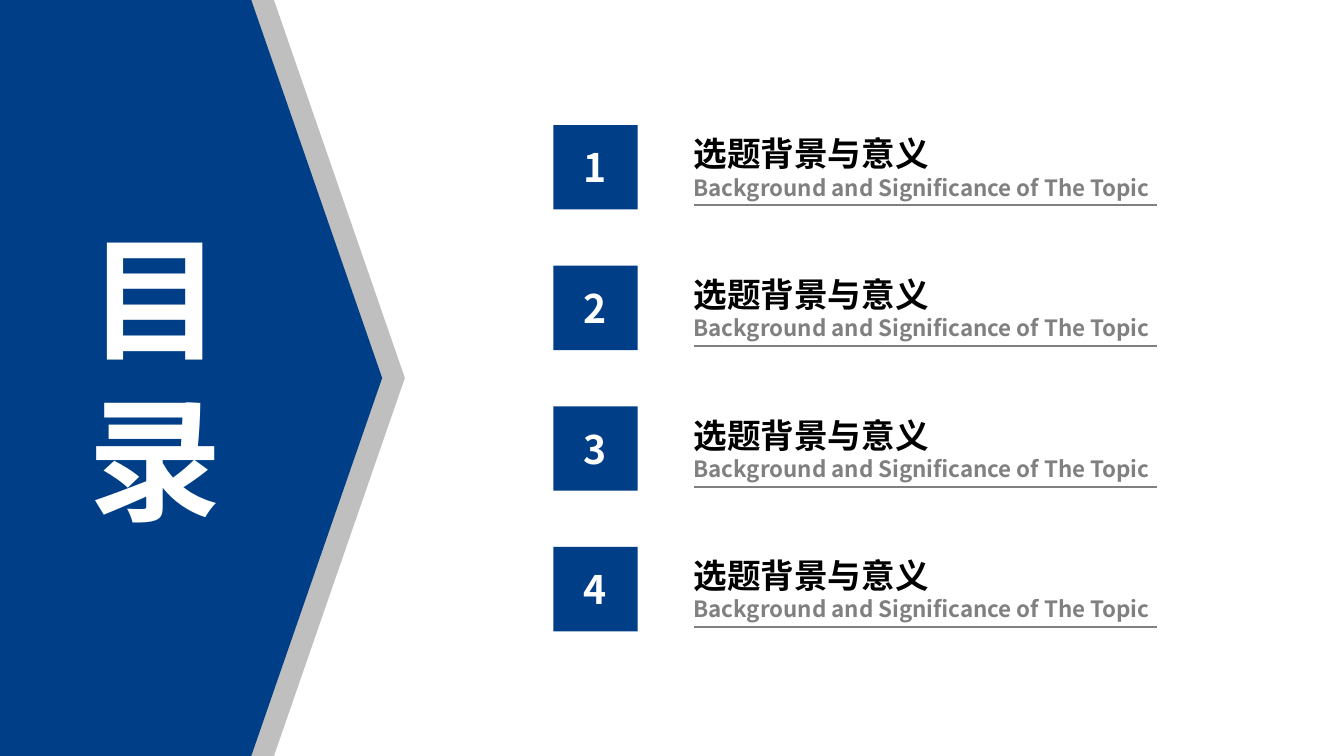
import pptx
import pptx.dml.color
import pptx.enum.shapes
import pptx.enum.text
import pptx.oxml
import pptx.oxml.ns
import pptx.util

Pt = pptx.util.Pt
ALIGN = pptx.enum.text.PP_ALIGN
COLORS = {
    "blue": "003F88",
    "silver": "BFBFBF",
    "gray": "808080",
    "black": "000000",
    "white": "FFFFFF",
}
FONT = "Noto Sans CJK SC"
WIDTH, HEIGHT = 960, 540
ENTRIES = [("选题背景与意义", "Background and Significance of The Topic")] * 4
FIRST_TOP, ROW_PITCH = 89.3, 100.45


class AgendaSlide:
    def __init__(self, prs):
        self.slide = prs.slides.add_slide(prs.slide_layouts[6])
        self.shapes = self.slide.shapes

    def color(self, name):
        return pptx.dml.color.RGBColor.from_string(COLORS[name])

    def paint(self, sp, fill):
        sp.shadow.inherit = False
        sp.fill.solid()
        sp.fill.fore_color.rgb = self.color(fill)
        sp.line.fill.background()

    def set_lines(self, tf, lines, align):
        for i, (text, size, color) in enumerate(lines):
            p = tf.paragraphs[0] if i == 0 else tf.add_paragraph()
            p.text = text
            p.alignment = align
            p.font.size = Pt(size)
            p.font.bold = True
            p.font.color.rgb = self.color(color)
            p.font.name = FONT
            latin = p._p.pPr.find(".//" + pptx.oxml.ns.qn("a:latin"))
            ea = pptx.oxml.parse_xml(
                f'<a:ea {pptx.oxml.ns.nsdecls("a")} typeface="{FONT}"/>'
            )
            latin.addnext(ea)

    def rect(self, x, y, w, h, fill):
        kind = pptx.enum.shapes.MSO_SHAPE.RECTANGLE
        sp = self.shapes.add_shape(kind, Pt(x), Pt(y), Pt(w), Pt(h))
        self.paint(sp, fill)
        return sp

    def arrow_panel(self, x, fill):
        shoulder, tip = x + 35.3, x + 128.8
        fb = self.shapes.build_freeform(Pt(x), Pt(0), scale=1.0)
        points = [(shoulder, 0), (tip, HEIGHT / 2), (shoulder, HEIGHT), (x, HEIGHT)]
        fb.add_line_segments([(Pt(px), Pt(py)) for px, py in points], close=True)
        self.paint(fb.convert_to_shape(), fill)

    def text(self, x, y, w, h, lines, align=ALIGN.LEFT):
        tf = self.shapes.add_textbox(Pt(x), Pt(y), Pt(w), Pt(h)).text_frame
        tf.word_wrap = True
        tf.auto_size = pptx.enum.text.MSO_AUTO_SIZE.SHAPE_TO_FIT_TEXT
        self.set_lines(tf, lines, align)

    def rule(self, x1, x2, y):
        kind = pptx.enum.shapes.MSO_CONNECTOR.STRAIGHT
        line = self.shapes.add_connector(kind, Pt(x1), Pt(y), Pt(x2), Pt(y))
        line.line.color.rgb = self.color("gray")
        line.line.width = Pt(1.5)
        effects = f'<a:effectLst {pptx.oxml.ns.nsdecls("a")}/>'
        line._element.spPr.append(pptx.oxml.parse_xml(effects))

    def number_box(self, x, y, size, number):
        sp = self.rect(x, y, size, size, "blue")
        sp.text_frame.vertical_anchor = pptx.enum.text.MSO_ANCHOR.MIDDLE
        self.set_lines(sp.text_frame, [(str(number), 28, "white")], ALIGN.CENTER)

    def entry(self, number, y, title, subtitle):
        lines = [(title, 24, "black"), (subtitle, 16, "gray")]
        self.text(488.3, y + 2.4, 360.5, 55.4, lines)
        self.rule(495.8, 826.4, y + 57.4)
        self.number_box(395.2, y, 60.3, number)


def main():
    prs = pptx.Presentation()
    prs.slide_width, prs.slide_height = Pt(WIDTH), Pt(HEIGHT)
    s = AgendaSlide(prs)
    s.arrow_panel(160.4, "silver")
    s.arrow_panel(144.2, "blue")
    s.rect(0, 0, 144.7, HEIGHT, "blue")
    s.text(43.3, 150.5, 136, 239, [("目录", 95.6, "white")], ALIGN.CENTER)
    for i, (title, subtitle) in enumerate(ENTRIES):
        s.entry(i + 1, FIRST_TOP + i * ROW_PITCH, title, subtitle)
    prs.save("out.pptx")


if __name__ == "__main__":
    main()
